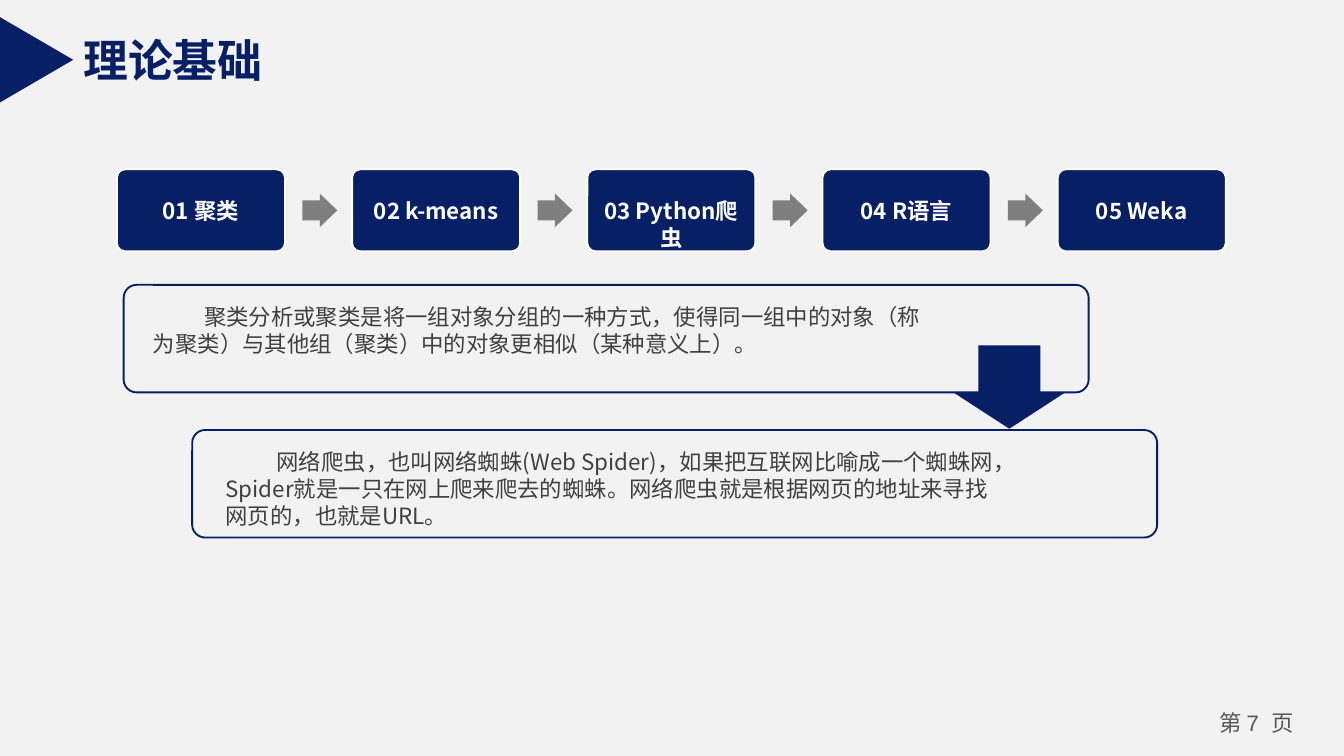
from dataclasses import dataclass

from lxml.etree import SubElement
from pptx import Presentation
from pptx.dml.color import RGBColor
from pptx.enum.shapes import MSO_SHAPE
from pptx.enum.text import MSO_ANCHOR, MSO_AUTO_SIZE, PP_ALIGN
from pptx.oxml.ns import qn
from pptx.util import Inches, Pt


@dataclass(frozen=True)
class Theme:
    background: str = "F2F2F2"
    navy: str = "071F65"
    gray: str = "7F7F7F"
    white: str = "FFFFFF"
    body_text: str = "404040"
    page_text: str = "595959"
    latin_font: str = "Arial"
    cjk_font: str = "Noto Sans CJK SC"
    title_size: int = 24
    body_size: int = 12


THEME = Theme()
SLIDE_SIZE = (10, 10 * 9 / 16)

# Step row: one column per step, with an arrow in each gap
STEP_LEFT, STEP_TOP, STEP_PITCH = 0.87, 1.26, 1.75
STEP_SIZE = (1.25, 0.61)
ARROW_SIZE = (0.26, 0.25)
STEPS = ["01 聚类", "02 k-means", "03 Python爬虫", "04 R语言", "05 Weka"]

# Panels: each one is shifted right and down from the one before
PANEL_LEFT, PANEL_TOP = 0.92, 2.12
PANEL_SHIFT = (0.51, 1.08)
PANEL_SIZE = (7.18, 0.8)
# Left inset and text of each panel
PANELS = [
    (0.19, "聚类分析或聚类是将一组对象分组的一种方式，使得同一组中的对象（称为聚类）"
           "与其他组（聚类）中的对象更相似（某种意义上）。"),
    (0.22, "网络爬虫，也叫网络蜘蛛(Web Spider)，如果把互联网比喻成一个蜘蛛网，"
           "Spider就是一只在网上爬来爬去的蜘蛛。网络爬虫就是根据网页的地址来寻找网页的，也就是URL。"),
]


def color(value):
    return RGBColor.from_string(value)


def add_shape(slide, kind, left, top, size, fill, line=None, adjustments=()):
    width, height = size
    shape = slide.shapes.add_shape(
        kind, Inches(left), Inches(top), Inches(width), Inches(height))
    shape.shadow.inherit = False
    shape.fill.solid()
    shape.fill.fore_color.rgb = color(fill)
    if line:
        shape.line.color.rgb = color(line)
        shape.line.width = Pt(1)
    else:
        shape.line.fill.background()
    for index, value in enumerate(adjustments):
        shape.adjustments[index] = value
    return shape


def set_frame(shape, left, top, right, bottom, wrap=True):
    frame = shape.text_frame
    frame.auto_size = MSO_AUTO_SIZE.NONE
    frame.word_wrap = wrap
    frame.vertical_anchor = MSO_ANCHOR.TOP
    frame.margin_left, frame.margin_top = Inches(left), Inches(top)
    frame.margin_right, frame.margin_bottom = Inches(right), Inches(bottom)
    return frame.paragraphs[0]


def add_run(paragraph, text, text_color, font=THEME.cjk_font,
            size=THEME.body_size, bold=False):
    run = paragraph.add_run()
    run.text = text
    run.font.name = font
    run.font.size = Pt(size)
    run.font.bold = bold
    run.font.color.rgb = color(text_color)
    east_asian = SubElement(run.font._element, qn("a:ea"))
    east_asian.set("typeface", THEME.cjk_font)


def add_title(slide, text):
    title = slide.shapes.title
    title.left, title.top = Inches(0.52), Inches(0.19)
    title.width, title.height = Inches(1.55), Inches(0.5)
    paragraph = set_frame(title, 0.1, 0.05, 0.1, 0.05, wrap=False)
    paragraph.alignment = PP_ALIGN.LEFT
    add_run(paragraph, text, THEME.navy, THEME.latin_font, THEME.title_size, True)
    marker = add_shape(slide, MSO_SHAPE.ISOSCELES_TRIANGLE, -0.05, 0.17,
                       (0.64, 0.55), THEME.navy)
    marker.rotation = 90


def add_step(slide, column, label):
    left = STEP_LEFT + column * STEP_PITCH
    box = add_shape(slide, MSO_SHAPE.ROUNDED_RECTANGLE, left, STEP_TOP,
                    STEP_SIZE, THEME.navy, THEME.white, [0.1])
    paragraph = set_frame(box, 0.08, 0.19, 0.08, 0)
    paragraph.alignment = PP_ALIGN.CENTER
    add_run(paragraph, label, THEME.white, bold=True)


def add_step_arrow(slide, column):
    gap_left = STEP_LEFT + column * STEP_PITCH + STEP_SIZE[0]
    top = STEP_TOP + (STEP_SIZE[1] - ARROW_SIZE[1]) / 2
    add_shape(slide, MSO_SHAPE.RIGHT_ARROW, gap_left + 0.13, top,
              ARROW_SIZE, THEME.gray, adjustments=[0.6, 0.52])


def add_panel(slide, row, left_inset, text):
    panel = add_shape(slide, MSO_SHAPE.ROUNDED_RECTANGLE,
                      PANEL_LEFT + row * PANEL_SHIFT[0],
                      PANEL_TOP + row * PANEL_SHIFT[1],
                      PANEL_SIZE, THEME.background, THEME.navy, [0.12])
    paragraph = set_frame(panel, left_inset, 0.11, 1.18, 0)
    paragraph.alignment = PP_ALIGN.LEFT
    # First-line indent
    paragraph._p.get_or_add_pPr().set("indent", str(Inches(0.38)))
    add_run(paragraph, text, THEME.body_text)


def add_page_number(slide, number):
    box = slide.shapes.add_textbox(
        Inches(8.9), Inches(5.24), Inches(0.9), Inches(0.3))
    paragraph = set_frame(box, 0.07, 0.04, 0.07, 0.04)
    paragraph.alignment = PP_ALIGN.CENTER
    add_run(paragraph, "第 ", THEME.page_text)
    add_run(paragraph, f"{number}  ", THEME.page_text, THEME.latin_font)
    add_run(paragraph, "页", THEME.page_text)


def main():
    presentation = Presentation()
    presentation.slide_width, presentation.slide_height = map(Inches, SLIDE_SIZE)
    slide = presentation.slides.add_slide(presentation.slide_layouts[5])
    slide.background.fill.solid()
    slide.background.fill.fore_color.rgb = color(THEME.background)

    add_title(slide, "理论基础")

    # Step row
    for column, label in enumerate(STEPS):
        add_step(slide, column, label)
        if column < len(STEPS) - 1:
            add_step_arrow(slide, column)

    # Explanations, linked by a large arrow
    for row, (left_inset, text) in enumerate(PANELS):
        add_panel(slide, row, left_inset, text)
    add_shape(slide, MSO_SHAPE.DOWN_ARROW, 7.09, 2.57, (0.84, 0.62),
              THEME.navy, adjustments=[0.55, 0.44])

    add_page_number(slide, 7)
    presentation.save("out.pptx")


if __name__ == "__main__":
    main()
